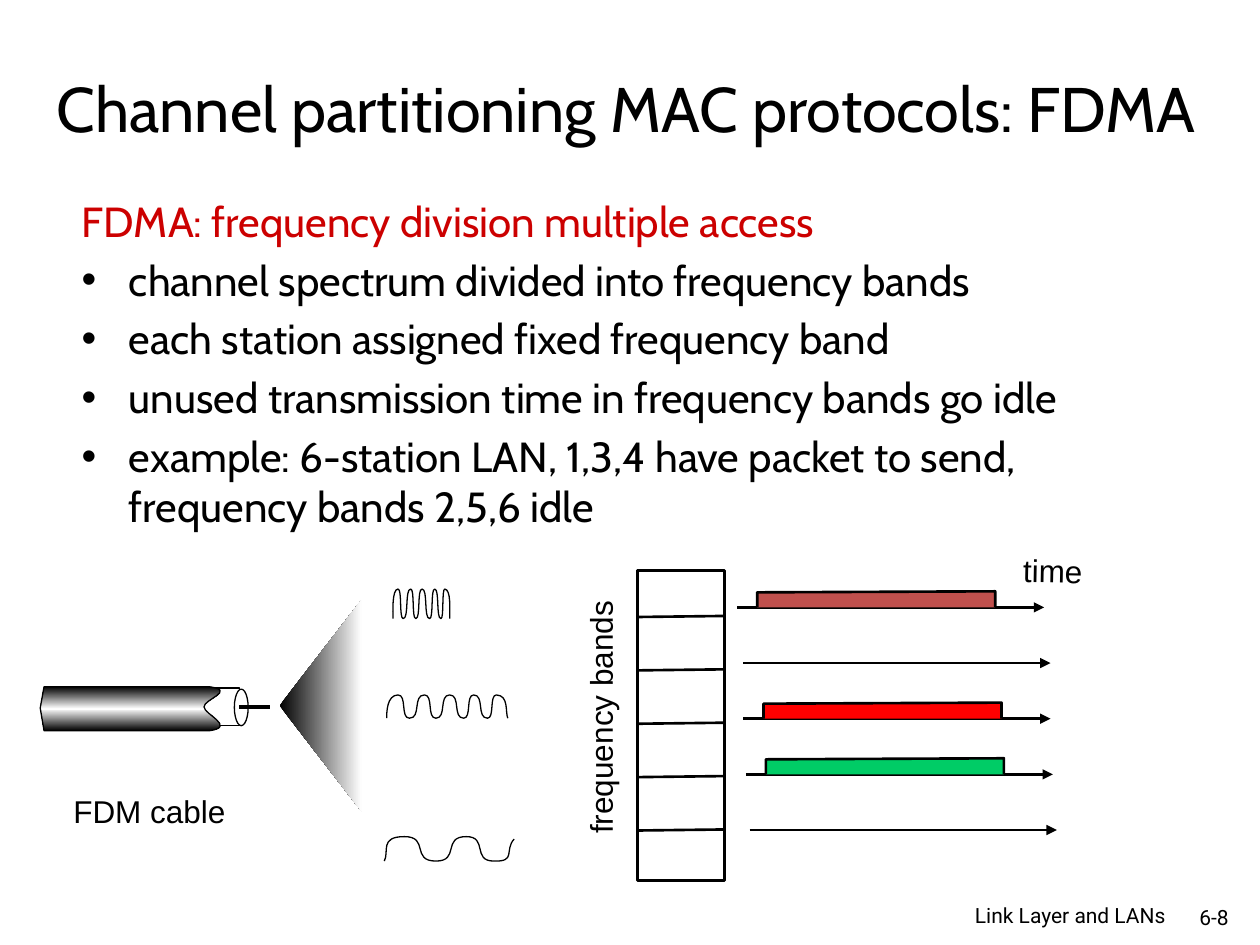
from copy import deepcopy
from pptx import Presentation
from pptx.dml.color import RGBColor
from pptx.enum import shapes, text
from pptx.oxml import parse_xml
from pptx.oxml.ns import qn, nsdecls
from pptx.util import Pt

BLACK = RGBColor(0, 0, 0)
WHITE = RGBColor(255, 255, 255)
HEADING = RGBColor(0xCC, 0, 0)
BRICK = RGBColor(0xC0, 0x50, 0x4D)
RED = RGBColor(255, 0, 0)
GREEN = RGBColor(0, 0xCC, 0x66)

# Content; all lengths in points
BODY = [
    "FDMA: frequency division multiple access",
    "channel spectrum divided into frequency bands",
    "each station assigned fixed frequency band",
    "unused transmission time in frequency bands go idle",
    "example: 6-station LAN, 1,3,4 have packet to send, frequency bands 2,5,6 idle",
]
# text, left, top, width, height, size, font, alignment, rotation, wrap
LABELS = [
    ("frequency bands", 269.3, 395.3, 147.6, 28.8, 18, "Arial", "LEFT", 270, False),
    ("time", 577.5, 311.8, 48.2, 28.8, 18, "Arial", "LEFT", 1.1, False),
    ("FDM cable", 34.8, 448.9, 101.5, 28.8, 18, "Arial", "LEFT", 0, False),
    ("Channel partitioning MAC protocols: FDMA", 18, 16.5, 679.7, 90, 36, "Cabin", "CENTER", 0, True),
    ("6-8", 666, 513.4, 43.2, 21.6, 12, "Roboto", "RIGHT", 0, True),
    ("Link Layer and LANs", 501.8, 513.4, 171.4, 18.7, 12, "Roboto", "RIGHT", 0, True),
]
# left end of each time axis, colour of its packet (None when idle)
AXES = [(421.2, BRICK), (424.8, None), (424.8, RED), (426.2, GREEN), (428.4, None)]
# turning points across, bottom, top, controls of the first curve, last curve
WAVES = [
    ([221, 227.5, 234, 242.6, 249.1, 257, 265, 270.7, 278.6, 283.7], 410.4, 397.1,
     [(221, 407.5), (221, 397.1)], [(290.9, 397.4), (288.7, 406.8), (290.2, 410.4)]),
    ([224.6, 227.5, 230.4, 234.7, 237.6, 241.2, 245.5, 248.4, 252, 254.2], 353.5, 336.6,
     [(224.6, 350), (223.9, 336.6)], [(257.8, 336.9), (257, 348.5), (257, 353.5)]),
    ([219.6, 231.1, 249.1, 266.4, 282.2], 492.1, 478.1,
     [(222.5, 486.7), (216.7, 478.1)], [(295.2, 492.5), (288, 486), (293.8, 479.5)]),
]

prs = Presentation()
prs.slide_width, prs.slide_height = Pt(720), Pt(540)
s = prs.slides.add_slide(prs.slide_layouts[6])


def style(sp, fill=None, line=None):
    sp.shadow.inherit = False
    if isinstance(fill, list):
        sp.fill.gradient()
        stops = sp._element.spPr.find(".//" + qn("a:gsLst"))
        while len(stops) < len(fill):
            stops.append(deepcopy(stops[0]))
        for i, (stop, color) in enumerate(zip(sp.fill.gradient_stops, fill)):
            stop.position = i / (len(fill) - 1)
            stop.color.rgb = color
    elif fill is not None:
        sp.fill.solid()
        sp.fill.fore_color.rgb = fill
    else:
        sp.fill.background()
    if line:
        sp.line.color.rgb = BLACK
        sp.line.width = Pt(line)
    else:
        sp.line.fill.background()
    return sp


def add_preset(kind, x, y, w, h, line):
    sp = s.shapes.add_shape(kind, Pt(x), Pt(y), Pt(w), Pt(h))
    return style(sp, WHITE, line)


def add_outline(straight, curved=(), close=False, fill=None, line=None):
    """Straight corners, then Bezier curves of three points each."""
    pts = [(Pt(x), Pt(y)) for x, y in [*straight, *curved]]
    fb = s.shapes.build_freeform(*pts[0], scale=1.0)
    fb.add_line_segments(pts[1:], close=close)
    sp = fb.convert_to_shape()
    steps = sp._element.spPr.findall(".//" + qn("a:lnTo"))[len(straight) - 1:]
    for i in range(0, len(curved), 3):
        bezier = parse_xml(f'<a:cubicBezTo {nsdecls("a")}/>')
        steps[i].addprevious(bezier)
        for step in steps[i:i + 3]:
            bezier.append(step[0])
            step.getparent().remove(step)
    return style(sp, fill, line)


def add_line(x1, y1, x2, y2, width=1.5, arrow=False):
    c = s.shapes.add_connector(shapes.MSO_CONNECTOR.STRAIGHT, Pt(x1), Pt(y1), Pt(x2), Pt(y2))
    c.line.color.rgb = BLACK
    c.line.width = Pt(width)
    if arrow:
        c.line._get_or_add_ln().append(parse_xml(f'<a:tailEnd {nsdecls("a")} type="triangle"/>'))
    c._element.spPr.append(parse_xml(f'<a:effectLst {nsdecls("a")}/>'))


def set_font(p, size, name, color=BLACK):
    for r in p.runs:
        r.font.size, r.font.name = Pt(size), name
        r.font.color.rgb = color


# Body text
tf = s.shapes.add_textbox(Pt(39.6), Pt(108), Pt(647.3), Pt(365.8)).text_frame
tf.word_wrap = True
tf.text = "\n".join(BODY)
for i, p in enumerate(tf.paragraphs):
    pPr = p._p.get_or_add_pPr()
    pPr.set("marL", str(Pt(27)))
    pPr.set("indent", str(Pt(-27)))
    if i:
        p.space_before = Pt(4.8)
        pPr.append(parse_xml(f'<a:buFont {nsdecls("a")} typeface="Arial"/>'))
        pPr.append(parse_xml(f'<a:buChar {nsdecls("a")} char="•"/>'))
    set_font(p, 24, "Cabin", BLACK if i else HEADING)

# Stack of frequency bands
add_preset(shapes.MSO_SHAPE.RECTANGLE, 364.2, 326.1, 49.7, 177.1, 1.5)
for i in range(5):
    y = 352.6 + 30.5 * i
    add_line(364, y, 413.6, y - 0.6)

# Time axes with packets
for i, (x, color) in enumerate(AXES):
    y = 347.1 + 31.8 * i
    add_line(x, y, x + 175.5, y, arrow=True)
    if color is not None:
        left, right = x + 11.5, x + 147.5
        add_outline([(left, y), (left, y - 8.6), (right, y - 9.2), (right, y)], fill=color, line=1.5)

# Spreading beam
beam = add_outline([(206.6, 342.7), (159.8, 403.2), (206.6, 463.7)], close=True, fill=[BLACK, WHITE])
beam.fill.gradient_angle = 0

# Cable: inner sleeve, shaded jacket, end face, core
add_preset(shapes.MSO_SHAPE.RECTANGLE, 115.9, 393.1, 20.9, 21.6, 0.75)
jacket = add_outline(
    [(25.2, 392.4), (23, 404.6), (25.2, 417.6), (119.5, 417.6)],
    [(135.4, 415.4), (116.6, 408.2), (116.6, 403.9),
     (116.6, 399.6), (135.4, 394.6), (119.5, 392.4)],
    True, [BLACK, WHITE, BLACK], 0.75)
jacket.fill.gradient_angle = 90
add_preset(shapes.MSO_SHAPE.OVAL, 133.9, 393.8, 7.9, 20.9, 0.75)
add_line(136.8, 403.9, 154.1, 403.9, 2.25)

# Carrier waves: inner curves alternate between top and bottom
for xs, low, high, first, last in WAVES:
    curves = [*first, (xs[1], high)]
    for i, (x0, x1) in enumerate(zip(xs[1:], xs[2:])):
        y0, y1 = (low, high) if i % 2 else (high, low)
        reach = 0.8 * (x1 - x0)
        curves += [(x0 + reach, y0), (x1 - reach, y1), (x1, y1)]
    add_outline([(xs[0], low)], curves + last, line=0.75)

# Labels, title and footer
for words, x, y, w, h, size, font, align, turn, wrap in LABELS:
    sp = s.shapes.add_textbox(Pt(x), Pt(y), Pt(w), Pt(h))
    sp.rotation = turn
    tf = sp.text_frame
    tf.text = words
    tf.word_wrap = wrap
    tf.vertical_anchor = text.MSO_ANCHOR.MIDDLE if wrap else text.MSO_ANCHOR.TOP
    tf.paragraphs[0].alignment = text.PP_ALIGN[align]
    set_font(tf.paragraphs[0], size, font)

prs.save("out.pptx")
